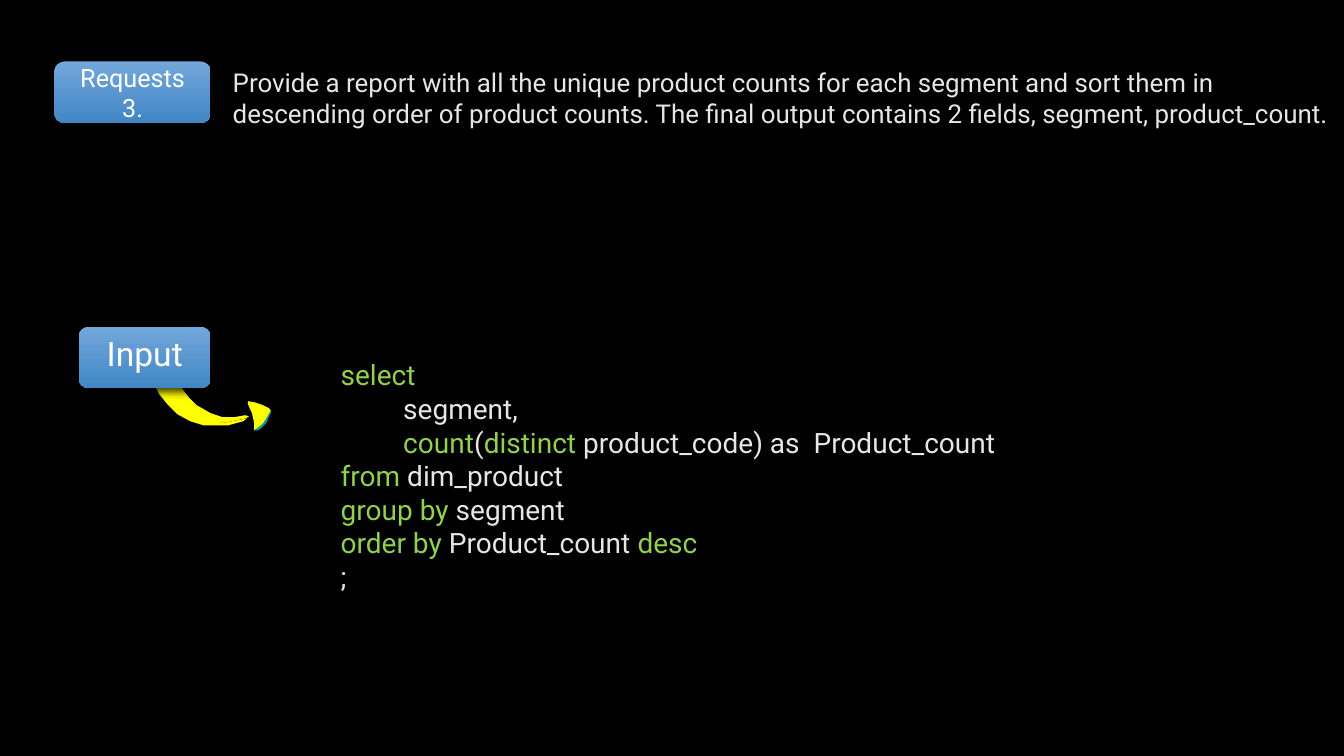
from lxml.etree import SubElement
from pptx import Presentation
from pptx.dml.color import RGBColor
from pptx.enum.shapes import MSO_SHAPE
from pptx.enum.text import MSO_ANCHOR, PP_ALIGN
from pptx.oxml.ns import qn
from pptx.util import Inches, Pt

BLACK = RGBColor(0x00, 0x00, 0x00)
WHITE = RGBColor(0xFF, 0xFF, 0xFF)
LIGHT = RGBColor(0xE7, 0xE6, 0xE6)
KEYWORD = RGBColor(0x92, 0xD0, 0x50)
YELLOW = RGBColor(0xFF, 0xFF, 0x00)
TEAL = RGBColor(0x09, 0x98, 0xA6)
BLUES = (RGBColor(0x73, 0xA7, 0xDA), RGBColor(0x41, 0x86, 0xC5))
FONT = "Roboto"
CELL = Inches(0.1)

REQUEST = ("Provide a report with all the unique product counts for each segment "
           "and sort them in descending order of product counts. "
           "The final output contains 2 fields, segment, product_count.")

QUERY = [
    [("select", KEYWORD)],
    [("         segment,", LIGHT)],
    [("         count", KEYWORD), ("(", LIGHT), ("distinct ", KEYWORD),
     ("product_code) as  Product_count", LIGHT)],
    [("from ", KEYWORD), ("dim_product", LIGHT)],
    [("group by ", KEYWORD), ("segment", LIGHT)],
    [("order by ", KEYWORD), ("Product_count ", LIGHT), ("desc", KEYWORD)],
    [(";", LIGHT)],
]

ARROW_TAIL = [
    (17.6, 34.4), (17.4, 34.3), (15.7, 34.5), (15.2, 34.7), (14.7, 35), (14.9, 36.3),
    (15.1, 37), (15.4, 37.7), (15.7, 38.5), (16.2, 39.3), (16.8, 40), (17.5, 40.6),
    (18.4, 41.1), (18.9, 41.4), (19.6, 41.7), (20.9, 42), (22.5, 41.9), (24.4, 41.5),
    (24.7, 41.3), (24.3, 41.2), (23.2, 41.4), (22.1, 41.4), (20.9, 41), (19.5, 40.2),
    (18.7, 39.4), (18.1, 38.6), (17.6, 37.5), (17.5, 36.1), (17.7, 34.5),
]
TAIL_RIM = [
    (24.5, 41.5), (24.1, 41.8), (22.6, 42.2), (20.2, 42.2), (18.9, 41.8), (17.6, 41.1),
    (16.6, 40.1), (15.8, 39.1), (14.8, 37.1), (14.6, 35.6), (14.7, 35), (14.9, 36.2),
    (15.2, 36.9), (16.2, 38.8), (17, 39.8), (18, 40.7), (18.8, 41.2), (20.4, 41.7),
    (21.5, 41.9), (22.5, 41.9), (24, 41.6),
]
ARROW_HEAD = [
    (26.1, 42), (26.7, 41.2), (26.9, 40.8), (26.7, 40.5), (26.1, 40.2), (25.2, 39.9),
    (24.6, 39.8), (24.6, 40.1), (25, 41), (25.2, 41.9), (25.2, 42.7), (25.6, 42.5),
]
HEAD_RIM = [
    (26.9, 40.7), (26.8, 41.1), (26.4, 42), (26, 42.4), (25.6, 42.7), (25.2, 42.7),
    (25.5, 42.5), (25.9, 42.2), (26.2, 41.9), (26.7, 41), (26.8, 40.8),
]


def cells(count):
    return round(count * CELL)


def add_span(para, text, *, size, color):
    span = para.add_run()
    span.text = text
    span.font.name = FONT
    span.font.size = Pt(size)
    span.font.color.rgb = color


class QuerySlide:
    """Draws styled elements on one page, measured in grid cells."""

    def __init__(self, deck):
        self.page = deck.slides.add_slide(deck.slide_layouts[6])
        self.page.background.fill.solid()
        self.page.background.fill.fore_color.rgb = BLACK

    def text(self, place, lines, size, indent=0.0):
        box = self.page.shapes.add_textbox(*map(cells, place))
        box.text_frame.word_wrap = True
        para = box.text_frame.paragraphs[0]
        para._p.get_or_add_pPr().set("marL", str(cells(indent)))
        for number, line in enumerate(lines):
            if number:
                para.add_line_break()
            for text, color in line:
                add_span(para, text, size=size, color=color)

    def button(self, place, label=None):
        shape = self.page.shapes.add_shape(MSO_SHAPE.ROUNDED_RECTANGLE, *map(cells, place))
        shape.fill.gradient()
        shape.fill.gradient_angle = 270
        for stop, color in zip(shape.fill.gradient_stops, BLUES):
            stop.color.rgb = color
        shape.line.fill.background()
        self.drop_shadow(shape)
        if label:
            frame = shape.text_frame
            frame.word_wrap = True
            frame.vertical_anchor = MSO_ANCHOR.MIDDLE
            frame.margin_left = frame.margin_right = cells(1.5)
            para = frame.paragraphs[0]
            para.alignment = PP_ALIGN.CENTER
            add_span(para, label, size=18, color=WHITE)

    def drop_shadow(self, shape):
        shape.shadow.inherit = False
        effects = shape._element.spPr.find(qn("a:effectLst"))
        shadow = SubElement(effects, qn("a:outerShdw"), blurRad=str(Pt(6)),
                            dist=str(Pt(3)), dir="5400000", rotWithShape="0")
        tint = SubElement(shadow, qn("a:srgbClr"), val=str(BLACK))
        SubElement(tint, qn("a:alpha"), val="75000")

    def outline(self, points, color):
        start, *rest = [(cells(x), cells(y)) for x, y in points]
        builder = self.page.shapes.build_freeform(*start)
        builder.add_line_segments(rest, close=True)
        shape = builder.convert_to_shape()
        shape.fill.solid()
        shape.fill.fore_color.rgb = color
        shape.line.fill.background()
        shape.shadow.inherit = False


def main():
    deck = Presentation()
    deck.slide_width, deck.slide_height = Inches(13.33), Inches(7.5)
    slide = QuerySlide(deck)
    slide.text((21.7, 6.1, 112.4, 9.3), [[(REQUEST, LIGHT)]], 18.5, indent=0.4)
    slide.button((5.4, 6.1, 15.5, 6.1), "Requests 3.")
    slide.text((32.4, 35, 76.1, 22.8), QUERY, 20, indent=0.4)
    for points, color in ((ARROW_TAIL, YELLOW), (ARROW_HEAD, YELLOW),
                          (TAIL_RIM, YELLOW), (HEAD_RIM, TEAL)):
        slide.outline(points, color)
    slide.button((7.8, 32.4, 13.1, 6.1))
    slide.text((9.6, 32.5, 10.9, 5), [[("Input", WHITE)]], 24)
    deck.save("out.pptx")


if __name__ == "__main__":
    main()
